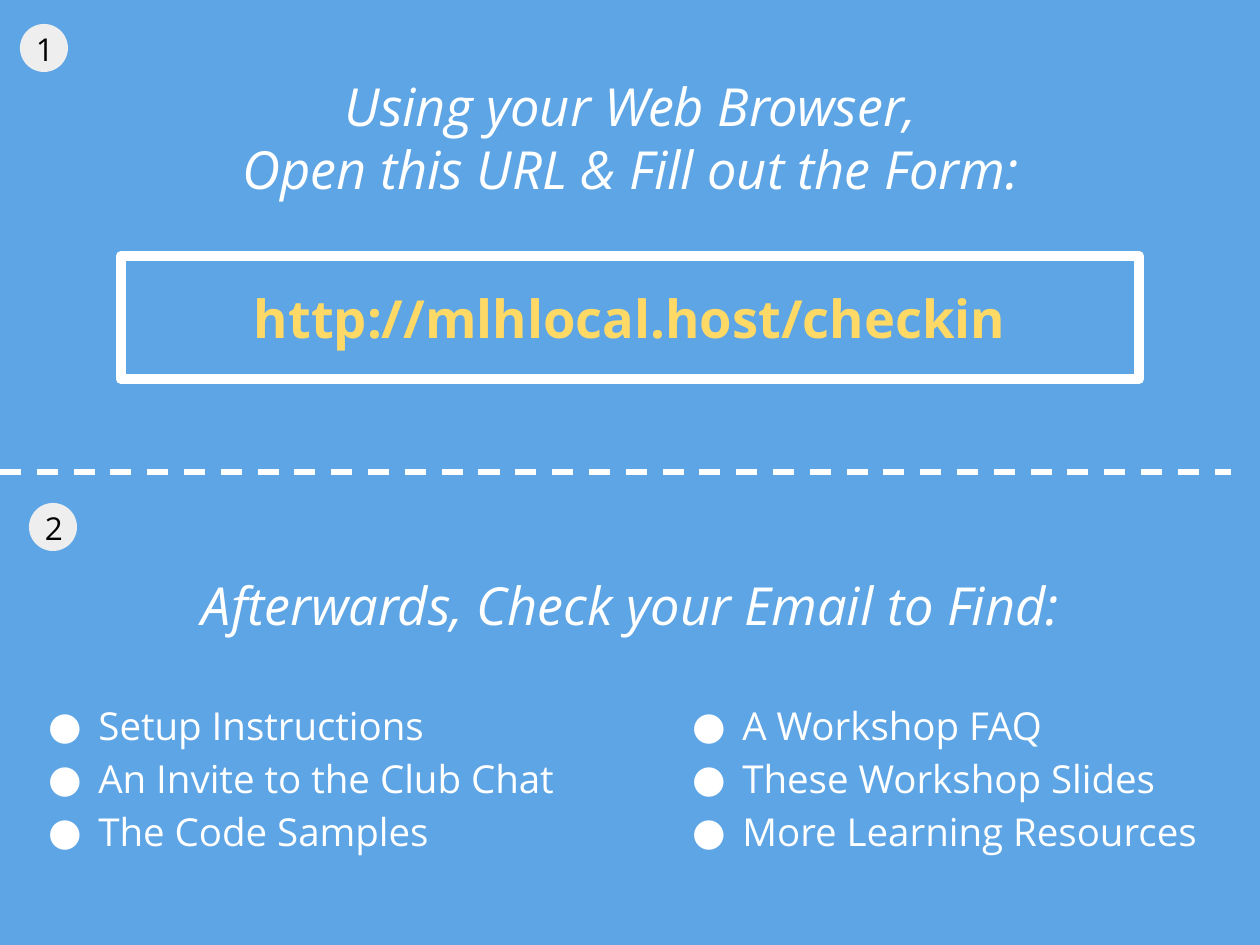
import dataclasses

import lxml.etree
import pptx
import pptx.dml.color
import pptx.enum.dml
import pptx.enum.shapes
import pptx.enum.text
import pptx.oxml.ns
import pptx.util

EMU_PER_PX = 914400 / 126


@dataclasses.dataclass(frozen=True)
class Theme:
    font: str = "Open Sans"
    background: str = "5EA5E5"
    light: str = "FFFFFF"
    accent: str = "FFD966"
    badge: str = "EEEEEE"
    dark: str = "000000"
    heading_size: int = 30
    list_size: int = 22
    badge_size: int = 18


THEME = Theme()


def px(value):
    return pptx.util.Emu(round(value * EMU_PER_PX))


def box(*lengths):
    return [px(length) for length in lengths]


def color(value):
    return pptx.dml.color.RGBColor.from_string(value)


def add_element(parent, tag, **attributes):
    return lxml.etree.SubElement(parent, pptx.oxml.ns.qn(tag), attributes)


def fill_text(shape, lines, size, text_color, centered=True, bold=False, italic=False):
    """Write one paragraph per line in a single style."""
    frame = shape.text_frame
    frame.word_wrap = True
    frame.auto_size = pptx.enum.text.MSO_AUTO_SIZE.NONE
    frame.vertical_anchor = pptx.enum.text.MSO_ANCHOR.MIDDLE
    frame.margin_left = frame.margin_right = pptx.util.Inches(0.1)
    frame.margin_top = frame.margin_bottom = pptx.util.Inches(0.1)
    frame.text = "\n".join(lines)
    alignment = pptx.enum.text.PP_ALIGN
    for paragraph in frame.paragraphs:
        paragraph.alignment = alignment.CENTER if centered else alignment.LEFT
        for run in paragraph.runs:
            run.font.name = THEME.font
            run.font.size = pptx.util.Pt(size)
            run.font.bold = bold
            run.font.italic = italic
            run.font.color.rgb = color(text_color)


def format_heading(shape, lines, top):
    shape.left, shape.top, shape.width, shape.height = box(23, top, 1216, 116)
    fill_text(shape, lines, THEME.heading_size, THEME.light, italic=True)


def add_filled_shape(slide, kind, bounds, fill):
    shape = slide.shapes.add_shape(kind, *box(*bounds))
    shape.shadow.inherit = False
    shape.fill.solid()
    shape.fill.fore_color.rgb = color(fill)
    shape.line.fill.background()
    return shape


def add_url_box(slide, url):
    shape = add_filled_shape(slide, pptx.enum.shapes.MSO_SHAPE.RECTANGLE,
                             (121, 256, 1018, 123), THEME.background)
    shape.line.color.rgb = color(THEME.light)
    shape.line.width = pptx.util.Pt(6)
    add_element(shape.line._get_or_add_ln(), "a:round")
    fill_text(shape, [url], THEME.heading_size, THEME.accent, bold=True)


def add_divider(slide, y, width):
    line = slide.shapes.add_connector(
        pptx.enum.shapes.MSO_CONNECTOR.STRAIGHT, *box(0, y, width, y))
    line.line.color.rgb = color(THEME.light)
    line.line.width = pptx.util.Pt(3)
    line.line.dash_style = pptx.enum.dml.MSO_LINE.DASH
    add_element(line._element.spPr, "a:effectLst")


def add_bullet_list(slide, left, items):
    shape = slide.shapes.add_textbox(*box(left, 660, 572, 229))
    fill_text(shape, items, THEME.list_size, THEME.light, centered=False)
    for paragraph in shape.text_frame.paragraphs:
        properties = paragraph._p.get_or_add_pPr()
        properties.set("marL", str(pptx.util.Inches(0.5)))
        properties.set("indent", str(pptx.util.Inches(-0.4)))
        bullet_color = add_element(properties, "a:buClr")
        add_element(bullet_color, "a:srgbClr", val=THEME.light)
        add_element(properties, "a:buFont", typeface=THEME.font)
        add_element(properties, "a:buChar", char="●")
        paragraph.line_spacing = 1.15


def add_badge(slide, number, left, top):
    add_filled_shape(slide, pptx.enum.shapes.MSO_SHAPE.OVAL,
                     (left, top, 48, 48), THEME.badge)
    label = slide.shapes.add_textbox(*box(left - 6, top - 7, 62, 63))
    fill_text(label, [str(number)], THEME.badge_size, THEME.dark)


def main():
    presentation = pptx.Presentation()
    presentation.slide_width, presentation.slide_height = box(1260, 945)
    slide = presentation.slides.add_slide(presentation.slide_layouts[5])
    slide.background.fill.solid()
    slide.background.fill.fore_color.rgb = color(THEME.background)

    # Step 1: open the form
    format_heading(slide.shapes.title,
                   ["Using your Web Browser,", "Open this URL & Fill out the Form:"], 79)
    add_url_box(slide, "http://mlhlocal.host/checkin")
    add_divider(slide, 472, 1231)

    # Step 2: check the email
    format_heading(slide.shapes.add_textbox(0, 0, 0, 0),
                   ["Afterwards, Check your Email to Find:"], 547)
    add_bullet_list(slide, 23, ["Setup Instructions", "An Invite to the Club Chat",
                                "The Code Samples"])
    add_bullet_list(slide, 667, ["A Workshop FAQ", "These Workshop Slides",
                                 "More Learning Resources"])

    # Step numbers
    add_badge(slide, 1, 20, 24)
    add_badge(slide, 2, 29, 503)

    presentation.save("out.pptx")


if __name__ == "__main__":
    main()
